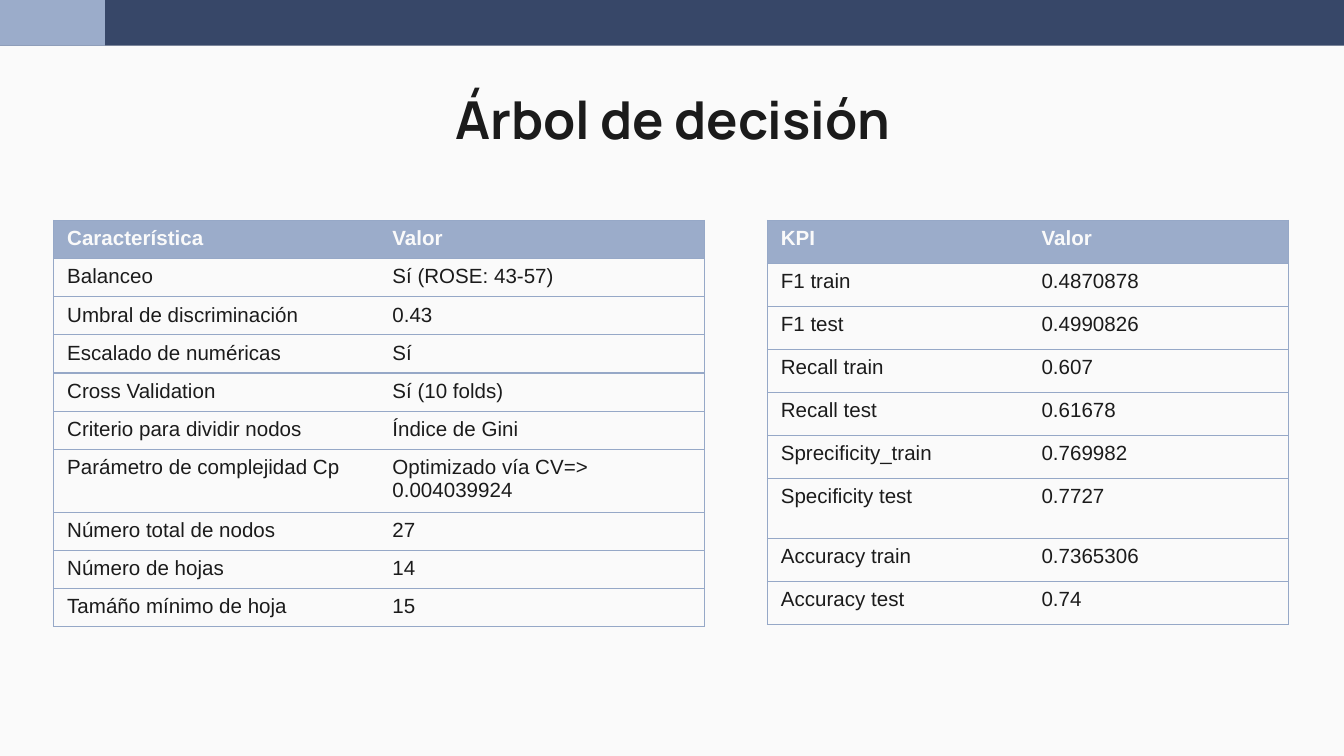
from dataclasses import dataclass

from lxml.etree import SubElement
from pptx import Presentation
from pptx.dml.color import RGBColor
from pptx.enum.shapes import MSO_SHAPE
from pptx.enum.text import MSO_ANCHOR, PP_ALIGN
from pptx.oxml.ns import qn
from pptx.util import Inches, Pt

WIDTH = 10
HEIGHT = WIDTH * 9 / 16
PAPER, INK, NAVY, SKY, RULE = "FAFAFA", "1B1B1B", "374768", "9BACCA", "96A8C7"
TABLE_TOP, TABLE_HEIGHT = 1.64, 3.02
RULE_WIDTH = 0.75


@dataclass(frozen=True)
class Band:
    width_share: float
    color: str


@dataclass(frozen=True)
class ResultTable:
    left: float
    column_width: float
    row_height: float
    tall_row: int
    tall_height: float
    rows: tuple[tuple[str, str], ...]


BANDS = (Band(1, NAVY), Band(0.078, SKY))

SETTINGS = ResultTable(0.4, 2.42, 0.23, 6, 0.4, (
    ("Característica", "Valor"),
    ("Balanceo", "Sí (ROSE: 43-57)"),
    ("Umbral de discriminación", "0.43"),
    ("Escalado de numéricas", "Sí"),
    ("Cross Validation", "Sí (10 folds)"),
    ("Criterio para dividir nodos", "Índice de Gini"),
    ("Parámetro de complejidad Cp", "Optimizado vía CV=> 0.004039924"),
    ("Número total de nodos", "27"),
    ("Número de hojas", "14"),
    ("Tamáño mínimo de hoja", "15"),
))

METRICS = ResultTable(5.71, 1.94, 0.32, 6, 0.45, (
    ("KPI", "Valor"),
    ("F1 train", "0.4870878"),
    ("F1 test", "0.4990826"),
    ("Recall train", "0.607"),
    ("Recall test", "0.61678"),
    ("Sprecificity_train", "0.769982"),
    ("Specificity test", "0.7727"),
    ("Accuracy train", "0.7365306"),
    ("Accuracy test", "0.74"),
))


def paint(fill, color: str) -> None:
    fill.solid()
    fill.fore_color.rgb = RGBColor.from_string(color)


def write(frame, text: str, *, size: float = 11, font: str = "Arial",
          color: str = INK, bold: bool = False, align=PP_ALIGN.LEFT) -> None:
    paragraph = frame.paragraphs[0]
    paragraph.alignment = align
    run = paragraph.add_run()
    run.text = text
    run.font.size = Pt(size)
    run.font.name = font
    run.font.bold = bold
    run.font.color.rgb = RGBColor.from_string(color)


def draw_band(slide, band: Band) -> None:
    bar = slide.shapes.add_shape(MSO_SHAPE.RECTANGLE, 0, 0,
                                 Inches(WIDTH * band.width_share), Inches(0.34))
    bar.shadow.inherit = False
    bar.line.fill.background()
    paint(bar.fill, band.color)


def draw_title(slide, text: str) -> None:
    title = slide.shapes.add_textbox(Inches(0.79), Inches(0.57), Inches(8.43), Inches(0.63))
    frame = title.text_frame
    frame.word_wrap = True
    frame.vertical_anchor = MSO_ANCHOR.MIDDLE
    frame.margin_left = frame.margin_right = Inches(0.1)
    frame.margin_top = frame.margin_bottom = Inches(0.1)
    write(frame, text, size=28, font="Manrope", bold=True, align=PP_ALIGN.CENTER)


def rule_cell(cell, first_column: bool) -> None:
    properties = cell._tc.get_or_add_tcPr()
    ruled = {"lnL": first_column, "lnR": not first_column, "lnT": True, "lnB": True}
    for side, visible in ruled.items():
        edge = SubElement(properties, qn(f"a:{side}"), w=str(Pt(RULE_WIDTH)))
        if visible:
            SubElement(SubElement(edge, qn("a:solidFill")), qn("a:srgbClr"), val=RULE)
        else:
            SubElement(edge, qn("a:noFill"))


def draw_table(slide, data: ResultTable) -> None:
    heights = [data.row_height] * len(data.rows)
    heights[data.tall_row] = data.tall_height
    holder = slide.shapes.add_table(
        len(data.rows), 2, Inches(data.left), Inches(TABLE_TOP),
        Inches(2 * data.column_width), Inches(TABLE_HEIGHT))
    table = holder.table
    table.horz_banding = False
    for column in table.columns:
        column.width = Inches(data.column_width)
    for row_index, (height, texts) in enumerate(zip(heights, data.rows)):
        table.rows[row_index].height = Inches(height)
        header = row_index == 0
        for column_index, text in enumerate(texts):
            cell = table.cell(row_index, column_index)
            rule_cell(cell, column_index == 0)
            if header:
                paint(cell.fill, SKY)
            else:
                cell.fill.background()
            write(cell.text_frame, text, color=PAPER if header else INK, bold=header)
    holder.height = Inches(TABLE_HEIGHT)


def main() -> None:
    deck = Presentation()
    deck.slide_width, deck.slide_height = Inches(WIDTH), Inches(HEIGHT)
    slide = deck.slides.add_slide(deck.slide_layouts[6])
    paint(slide.background.fill, PAPER)
    for band in BANDS:
        draw_band(slide, band)
    draw_title(slide, "Árbol de decisión")
    for data in (SETTINGS, METRICS):
        draw_table(slide, data)
    deck.save("out.pptx")


if __name__ == "__main__":
    main()
